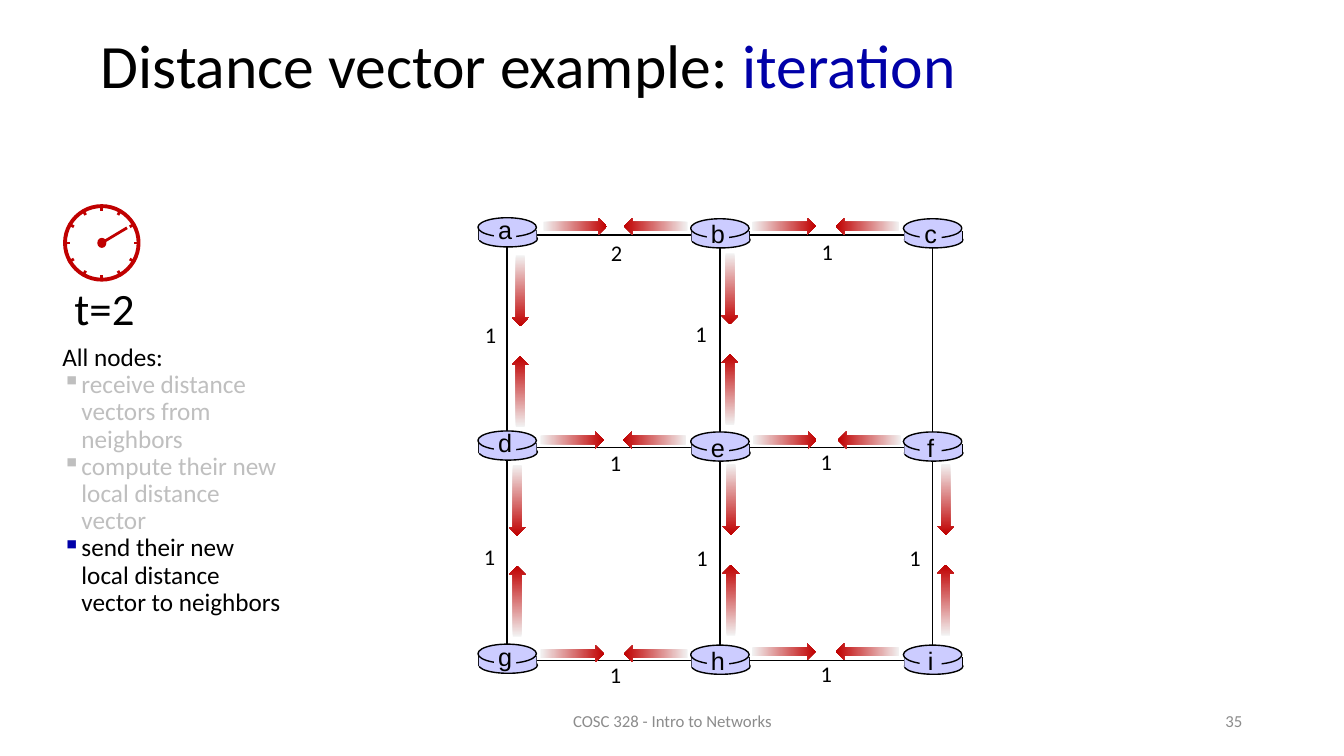
import math

import lxml.etree
import pptx
import pptx.dml.color
import pptx.enum.shapes
import pptx.enum.text
import pptx.oxml.ns
import pptx.util

Inches = pptx.util.Inches
Shape = pptx.enum.shapes.MSO_SHAPE
Align = pptx.enum.text.PP_ALIGN
Anchor = pptx.enum.text.MSO_ANCHOR
qn = pptx.oxml.ns.qn

BLACK, RED, BLUE, LAVENDER = "000000", "C00000", "0000A8", "CCCCFF"
PALE, FADED, GRAY = "F2F2F2", "BFBFBF", "8C8C8C"


def color(value):
    return pptx.dml.color.RGBColor.from_string(value)


class SlideBuilder:
    font_name = "Calibri"

    def __init__(self, presentation):
        self.slide = presentation.slides.add_slide(presentation.slide_layouts[6])
        self.shapes = self.slide.shapes

    def start_group(self):
        self.shapes = self.slide.shapes.add_group_shape().shapes

    def end_group(self):
        self.shapes = self.slide.shapes

    def shape(self, kind, x, y, width, height, fill=None, line=None, weight=1):
        shape = self.shapes.add_shape(kind, Inches(x), Inches(y), Inches(width), Inches(height))
        shape.shadow.inherit = False
        if fill:
            shape.fill.solid()
            shape.fill.fore_color.rgb = color(fill)
        else:
            shape.fill.background()
        if line:
            shape.line.color.rgb = color(line)
            shape.line.width = pptx.util.Pt(weight)
        else:
            shape.line.fill.background()
        return shape

    def line(self, x1, y1, x2, y2, stroke=BLACK, weight=1):
        connector = self.shapes.add_connector(
            pptx.enum.shapes.MSO_CONNECTOR.STRAIGHT, Inches(x1), Inches(y1), Inches(x2), Inches(y2))
        connector.line.color.rgb = color(stroke)
        connector.line.width = pptx.util.Pt(weight)
        lxml.etree.SubElement(connector._element.spPr, qn("a:effectLst"))
        return connector

    def arrow(self, x, y, length, rotation):
        shape = self.shape(Shape.RIGHT_ARROW, x, y, length, 0.17)
        shape.fill.gradient()
        shape.fill.gradient_angle = 0
        for stop, position, value in zip(shape.fill.gradient_stops, (0, 1), (PALE, RED)):
            stop.position = position
            stop.color.rgb = color(value)
        shape.rotation = rotation

    def text_box(self, x, y, width, height, wrap=True, anchor=Anchor.TOP):
        box = self.shapes.add_textbox(Inches(x), Inches(y), Inches(width), Inches(height))
        box.text_frame.word_wrap = wrap
        box.text_frame.vertical_anchor = anchor
        return box.text_frame

    def style(self, paragraph, size, fill=None, align=Align.LEFT, font_name=None):
        paragraph.alignment = align
        paragraph.font.size = pptx.util.Pt(size)
        paragraph.font.name = font_name or self.font_name
        if fill:
            paragraph.font.color.rgb = color(fill)

    def text(self, x, y, width, height, words, size, fill=BLACK, align=Align.LEFT,
             font_name=None, wrap=True, anchor=Anchor.TOP):
        paragraph = self.text_box(x, y, width, height, wrap, anchor).paragraphs[0]
        paragraph.text = words
        self.style(paragraph, size, fill, align, font_name)

    def title(self, x, y, width, height, parts):
        paragraph = self.text_box(x, y, width, height, anchor=Anchor.MIDDLE).paragraphs[0]
        paragraph.line_spacing = 0.9
        self.style(paragraph, 44)
        for words, fill in parts:
            run = paragraph.add_run()
            run.text = words
            run.font.color.rgb = color(fill)

    def steps(self, x, y, width, height, heading, items):
        frame = self.text_box(x, y, width, height)
        paragraph = frame.paragraphs[0]
        paragraph.text = heading
        paragraph.line_spacing = 0.9
        self.style(paragraph, 18, BLACK)
        for words, fill, bullet_fill in items:
            paragraph = frame.add_paragraph()
            paragraph.text = words
            paragraph.line_spacing = 0.9
            self.bullet(paragraph, bullet_fill)
            self.style(paragraph, 18, fill)

    def bullet(self, paragraph, fill):
        properties = paragraph._p.get_or_add_pPr()
        properties.set("marL", str(Inches(0.19)))
        properties.set("indent", str(-Inches(0.19)))
        bullet_color = lxml.etree.SubElement(properties, qn("a:buClr"))
        lxml.etree.SubElement(bullet_color, qn("a:srgbClr")).set("val", fill)
        lxml.etree.SubElement(properties, qn("a:buChar")).set("char", "▪")

    def router(self, x, y, letter, letter_y):
        self.start_group()
        self.shape(Shape.OVAL, x + 0.01, y + 0.13, 0.58, 0.16, LAVENDER, BLACK)
        for side in (x + 0.01, x + 0.58):
            self.line(side, y + 0.12, side, y + 0.22)
        self.shape(Shape.RECTANGLE, x + 0.01, y + 0.12, 0.57, 0.1, LAVENDER)
        self.shape(Shape.OVAL, x, y, 0.58, 0.19, LAVENDER, BLACK)
        self.shape(Shape.RECTANGLE, x + 0.16, y + 0.05, 0.22, 0.2, LAVENDER)
        self.text(x + 0.1, letter_y, 0.34, 0.4, letter, 18, align=Align.CENTER,
                  font_name="Arial", wrap=False)
        self.end_group()

    def clock(self, center_x, center_y):
        self.start_group()
        self.shape(Shape.OVAL, center_x - 0.365, center_y - 0.365, 0.73, 0.73, line=RED, weight=2.75)
        for hour in range(12):
            angle = math.radians(30 * hour)
            across, down = math.cos(angle), math.sin(angle)
            self.line(center_x + 0.32 * across, center_y + 0.32 * down,
                      center_x + 0.38 * across, center_y + 0.38 * down, RED, 2)
        self.shape(Shape.OVAL, center_x - 0.045, center_y - 0.05, 0.09, 0.1, RED)
        self.line(center_x + 0.25, center_y - 0.15, center_x, center_y, RED, 2)
        self.end_group()


def draw_network(builder):
    frame = builder.shape(Shape.RECTANGLE, 5.03, 2.33, 4.22, 4.22, line=BLACK)
    vertical = builder.line(7.14, 6.55, 7.14, 2.33)
    vertical.begin_connect(frame, 2)
    vertical.end_connect(frame, 0)
    horizontal = builder.line(5.03, 4.44, 9.25, 4.44)
    horizontal.begin_connect(frame, 1)
    horizontal.end_connect(frame, 3)

    for row, letters in enumerate(("abc", "def", "ghi")):
        for column, letter in enumerate(letters):
            lift, letter_lift = (0.01, 0.04) if column == 0 else (0, 0)
            builder.router(4.74 + 2.11 * column, 2.17 + 2.115 * row - lift,
                           letter, 2.12 + 2.115 * row - letter_lift)

    across_links = [
        (5.39, 6.19, 2.16, "2", 5.96, 2.32), (7.46, 8.29, 2.16, "1", 8.05, 2.31),
        (5.36, 6.18, 4.28, "1", 5.95, 4.41), (7.47, 8.31, 4.28, "1", 8.04, 4.4),
        (5.36, 6.19, 6.4, "1", 5.95, 6.51), (7.46, 8.29, 6.38, "1", 8.04, 6.5),
    ]
    for right_x, left_x, y, cost, cost_x, cost_y in across_links:
        builder.arrow(right_x, y, 0.63, 0)
        builder.arrow(left_x, y, 0.63, 180)
        builder.text(cost_x, cost_y, 0.33, 0.37, cost, 16)

    down_links = [
        (4.81, 2.8, 4.71, 3.14), (6.89, 2.78, 6.8, 3.13),
        (4.78, 4.88, 4.7, 5.34), (6.9, 4.87, 6.81, 5.35), (9.03, 4.87, 8.92, 5.35),
    ]
    for x, y, cost_x, cost_y in down_links:
        builder.arrow(x, y, 0.7, 90)
        builder.arrow(x, y + 1, 0.7, 270)
        builder.text(cost_x, cost_y, 0.33, 0.37, "1", 16)


def main():
    presentation = pptx.Presentation()
    presentation.slide_width = Inches(13.33)
    presentation.slide_height = Inches(7.5)
    builder = SlideBuilder(presentation)

    builder.title(0.9, 0.19, 11.5, 0.98,
                  [("Distance vector example: ", BLACK), ("iteration", BLUE)])
    draw_network(builder)
    builder.steps(0.52, 3.37, 2.4, 2.83, "All nodes:", [
        ("receive distance vectors from neighbors", FADED, FADED),
        ("compute their new local distance vector", FADED, FADED),
        ("send their new local distance vector to neighbors", BLACK, BLUE),
    ])
    builder.text(0.64, 2.74, 0.81, 0.64, "t=2", 32, wrap=False)
    builder.clock(1.01, 2.41)
    builder.text(4.42, 6.95, 4.5, 0.4, "COSC 328 - Intro to Networks", 12, GRAY,
                 Align.CENTER, anchor=Anchor.MIDDLE)
    builder.text(9.42, 6.95, 3, 0.4, "35", 12, GRAY, Align.RIGHT, anchor=Anchor.MIDDLE)
    presentation.save("out.pptx")


if __name__ == "__main__":
    main()
